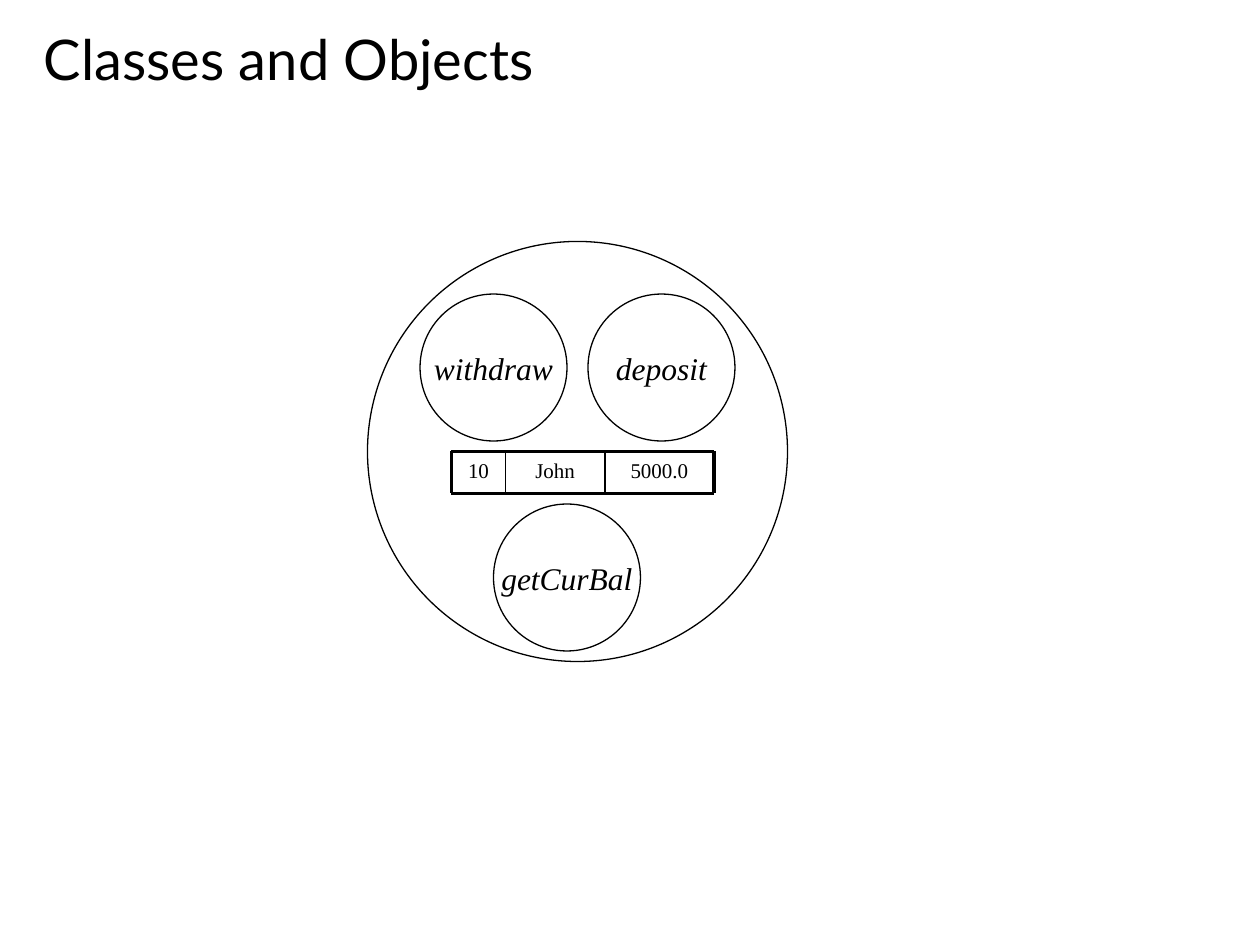
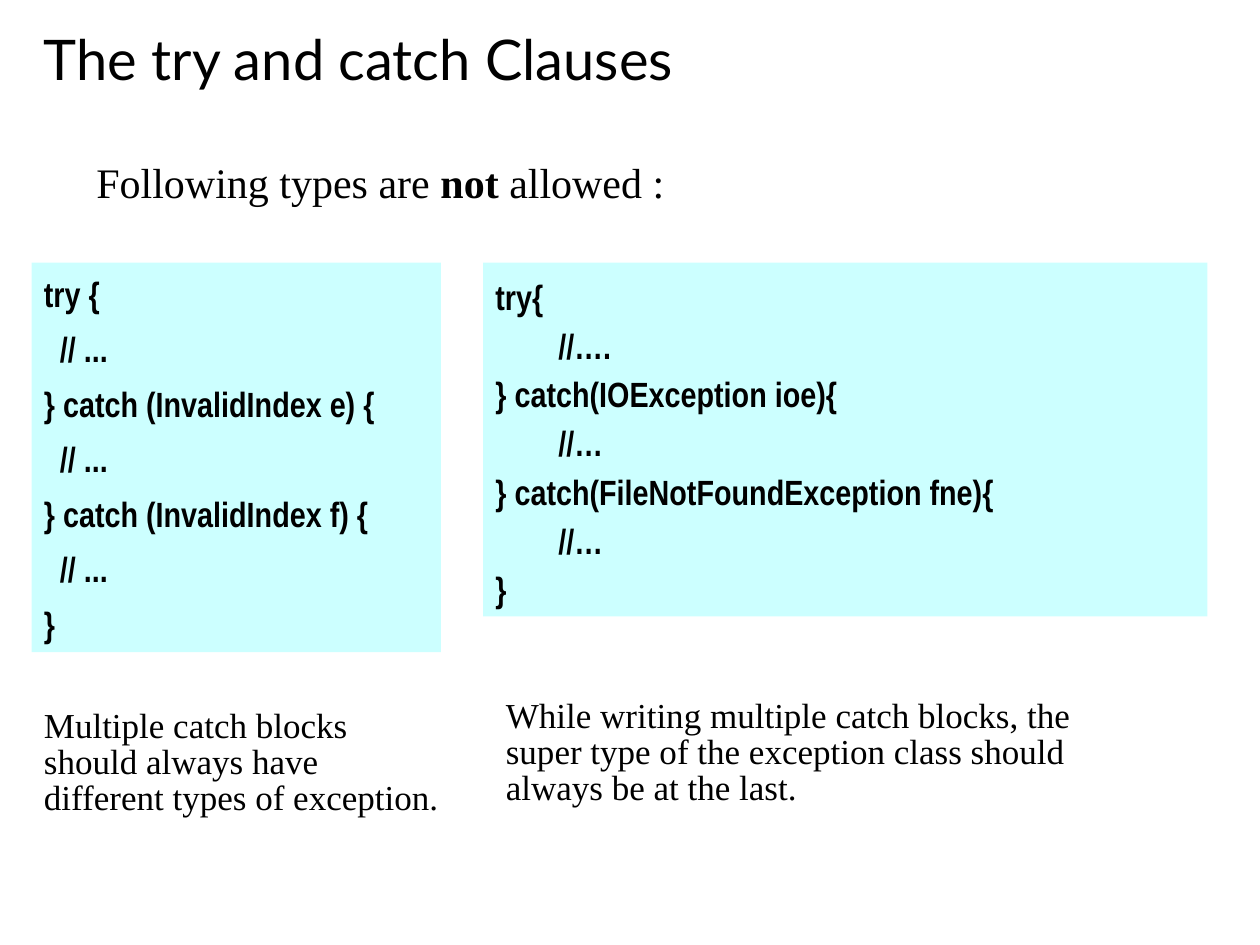
from itertools import accumulate

from lxml import etree
from pptx import Presentation
from pptx.dml.color import RGBColor
from pptx.enum.shapes import MSO_CONNECTOR, MSO_SHAPE
from pptx.enum.text import MSO_ANCHOR, PP_ALIGN
from pptx.oxml.ns import qn
from pptx.util import Inches, Pt

OVAL, RECT = MSO_SHAPE.OVAL, MSO_SHAPE.RECTANGLE
STRAIGHT = MSO_CONNECTOR.STRAIGHT
TOP, MIDDLE = MSO_ANCHOR.TOP, MSO_ANCHOR.MIDDLE
LEFT, CENTER = PP_ALIGN.LEFT, PP_ALIGN.CENTER

BLACK, WHITE, CODE_FILL = "000000", "FFFFFF", "CCFFFF"
TITLE_FONT, BODY_FONT, CODE_FONT = "Lato", "Times New Roman", "Arial Narrow"
UNITS_PER_INCH = 12


def color(hex_string):
    return RGBColor.from_string(hex_string)


def grid(*units):
    """Convert layout units, twelfths of an inch, to lengths."""
    return [Inches(unit / UNITS_PER_INCH) for unit in units]


def add_run(p, text, font, size, bold=False, italic=False):
    r = p.add_run()
    r.text = text
    r.font.name, r.font.size = font, Pt(size)
    r.font.bold, r.font.italic = bold, italic
    r.font.color.rgb = color(BLACK)


def prepare_frame(tf, anchor=TOP, wrap=True):
    tf.word_wrap = wrap
    tf.vertical_anchor = anchor


def add_shape(s, kind, box, fill, line=None):
    sp = s.shapes.add_shape(kind, *grid(*box))
    sp.shadow.inherit = False
    sp.fill.solid()
    sp.fill.fore_color.rgb = color(fill)
    if line:
        sp.line.color.rgb = color(line)
        sp.line.width = Pt(0.75)
    else:
        sp.line.fill.background()
    return sp


def add_line(s, x1, y1, x2, y2, width):
    cxn = s.shapes.add_connector(STRAIGHT, *grid(x1, y1, x2, y2))
    cxn.line.color.rgb = color(BLACK)
    cxn.line.width = Pt(width)
    etree.SubElement(cxn._element.spPr, qn("a:effectLst"))


def add_text(s, box, runs, font, size, anchor=TOP, spacing=None, align=LEFT):
    """Add a one-paragraph text box; runs are (text, bold) pairs."""
    tf = s.shapes.add_textbox(*grid(*box)).text_frame
    prepare_frame(tf, anchor)
    p = tf.paragraphs[0]
    p.alignment = align
    p.line_spacing = spacing
    for text, bold in runs:
        add_run(p, text, font, size, bold)


def add_titled_slide(prs, title):
    s = prs.slides.add_slide(prs.slide_layouts[6])
    add_text(s, (3, 0, 114, 11), [(title, False)], TITLE_FONT, 32, MIDDLE)
    return s


def add_method(s, left, top, name):
    sp = add_shape(s, OVAL, (left, top, 14, 14), WHITE, BLACK)
    prepare_frame(sp.text_frame, MIDDLE, wrap=False)
    p = sp.text_frame.paragraphs[0]
    p.alignment = CENTER
    add_run(p, name, BODY_FONT, 18, italic=True)


def add_record(s, left, top, height, fields):
    """Add the object's state as ruled fields of (value, width)."""
    edges = list(accumulate((width for _, width in fields), initial=left))
    right, bottom = edges[-1], top + height
    for x, (value, width) in zip(edges, fields):
        add_text(s, (x, top, width, height), [(value, False)], BODY_FONT, 12, align=CENTER)
    for y in (top, bottom):
        add_line(s, left, y, right, y, 2.25)
    for x in edges:
        add_line(s, x, top, x, bottom, 2.25 if x in (left, right) else 1)


def add_object_diagram(s, left, top):
    add_shape(s, OVAL, (left, top, 40, 40), WHITE, BLACK)
    for dx, dy, name in [(21, 5, "deposit"), (5, 5, "withdraw"), (12, 25, "getCurBal")]:
        add_method(s, left + dx, top + dy, name)
    add_record(s, left + 8, top + 20, 4,
               [("10", 5.15), ("John", 9.45), ("5000.0", 10.4)])


def add_tab_stop(p, position):
    tabs = etree.SubElement(p._p.get_or_add_pPr(), qn("a:tabLst"))
    etree.SubElement(tabs, qn("a:tab"), pos=str(Inches(position)), algn="l")


def add_code(s, box, lines, spacing, gap):
    tf = add_shape(s, RECT, box, CODE_FILL).text_frame
    prepare_frame(tf)
    for i, line in enumerate(lines):
        p = tf.add_paragraph() if i else tf.paragraphs[0]
        add_tab_stop(p, 0.5)
        p.alignment = LEFT
        p.line_spacing = spacing
        p.space_before = Pt(gap if i else 0)
        add_run(p, line, CODE_FONT, 20, bold=True)


def build_classes_slide(prs):
    s = add_titled_slide(prs, "Classes and Objects")
    add_object_diagram(s, 35, 23)


def build_try_catch_slide(prs):
    s = add_titled_slide(prs, "The try and catch Clauses")
    add_code(s, (3, 25, 39, 37.1),
             ["try {", "  // ...", "} catch (InvalidIndex e) {", "  // ...",
              "} catch (InvalidIndex f) {", "  // ...", "}"], 1.1, 5)
    add_code(s, (46, 25, 69, 33.7),
             ["try{", "\t//….", "} catch(IOException ioe){", "\t//…",
              "} catch(FileNotFoundException fne){", "\t//…", "}"], 1.16, 0)
    add_text(s, (8, 15, 78, 5.4),
             [("Following types are ", False), ("not", True), (" allowed :", False)],
             BODY_FONT, 24, spacing=0.86)
    for box, rule in [
        ((3, 67, 40, 15),
         "Multiple catch blocks should always have different types of exception."),
        ((47, 66, 60, 11.5),
         "While writing multiple catch blocks, the super type of the exception "
         "class should always be at the last."),
    ]:
        add_text(s, box, [(rule, False)], BODY_FONT, 20, spacing=0.86)


def main():
    prs = Presentation()
    prs.slide_width, prs.slide_height = Inches(10), Inches(7.5)
    build_classes_slide(prs)
    build_try_catch_slide(prs)
    prs.save("out.pptx")


if __name__ == "__main__":
    main()
